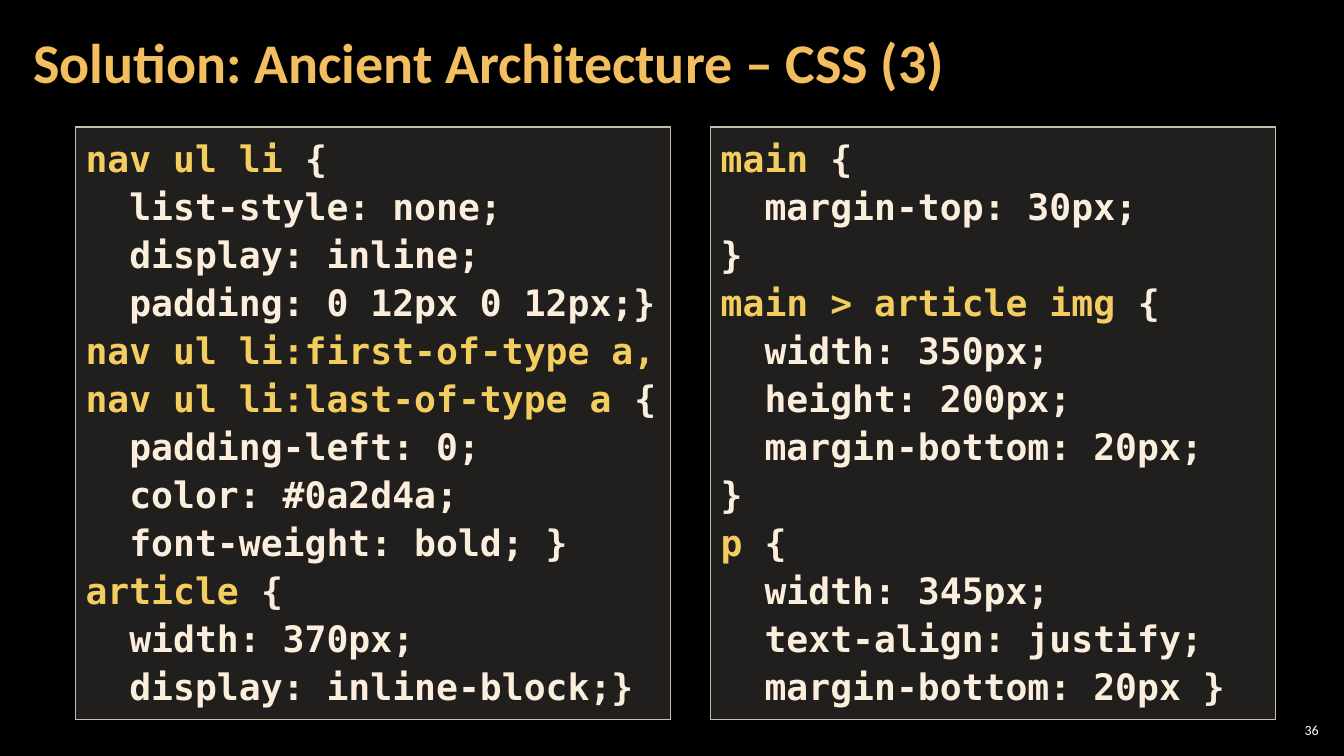
from dataclasses import dataclass

from lxml import etree
from pptx import Presentation
from pptx import util as u
from pptx.dml.color import RGBColor
from pptx.enum import shapes, text
from pptx.oxml import ns

COLUMN = u.Inches(0.05)
ROW = u.Inches(0.02)


@dataclass(frozen=True)
class Theme:
    background: str = "000000"
    title: str = "F3BE60"
    number: str = "FFFFFF"
    selector: str = "F3CD60"
    code: str = "FBEEDC"
    panel: str = "D9D5C7"
    border: str = "C7BFAC"
    panel_opacity: int = 15
    body_font: str = "Calibri"
    code_font: str = "DejaVu Sans Mono"
    title_size: int = 40
    code_size: int = 26
    number_size: int = 10


@dataclass(frozen=True)
class Area:
    column: float
    row: float
    columns: float
    rows: float

    def lengths(self) -> tuple[int, int, int, int]:
        return (int(self.column * COLUMN), int(self.row * ROW),
                int(self.columns * COLUMN), int(self.rows * ROW))


@dataclass(frozen=True)
class Label:
    area: Area
    words: str
    size: int
    color: str
    bold: bool
    side_inset: float
    align: text.PP_ALIGN
    spacing: float


@dataclass(frozen=True)
class CodePanel:
    area: Area
    code: str


THEME = Theme()

LABELS = [
    Label(Area(253, 357, 9.4, 10.5), "36", THEME.number_size, THEME.number,
          False, 0.04, text.PP_ALIGN.RIGHT, 1.0),
    Label(Area(4.2, 2, 209.4, 60.5), "Solution: Ancient Architecture – CSS (3)",
          THEME.title_size, THEME.title, True, 0.12, text.PP_ALIGN.LEFT, 0.9),
]

PANELS = [
    CodePanel(Area(15, 63, 118, 294), """\
nav ul li {
  list-style: none;
  display: inline;
  padding: 0 12px 0 12px;}
nav ul li:first-of-type a,
nav ul li:last-of-type a {
  padding-left: 0;
  color: #0a2d4a;
  font-weight: bold; }
article {
  width: 370px;
  display: inline-block;}"""),
    CodePanel(Area(141, 63, 112, 294), """\
main {
  margin-top: 30px;
}
main > article img {
  width: 350px;
  height: 200px;
  margin-bottom: 20px;
}
p {
  width: 345px;
  text-align: justify;
  margin-bottom: 20px }"""),
]


def style_span(span, font: str, size: int, color: str, bold: bool) -> None:
    span.font.name = font
    span.font.size = u.Pt(size)
    span.font.bold = bold
    span.font.color.rgb = RGBColor.from_string(color)


def draw_label(page, label: Label) -> None:
    box = page.shapes.add_textbox(*label.area.lengths())
    frame = box.text_frame
    frame.word_wrap = True
    frame.vertical_anchor = text.MSO_ANCHOR.MIDDLE
    frame.margin_left = frame.margin_right = u.Inches(label.side_inset)
    frame.margin_top = frame.margin_bottom = u.Inches(0.04)
    frame.text = label.words
    para = frame.paragraphs[0]
    para.alignment = label.align
    para.line_spacing = label.spacing
    style_span(para.runs[0], THEME.body_font, label.size, label.color, label.bold)


def write_code_line(para, line: str) -> None:
    para.alignment = text.PP_ALIGN.LEFT
    para.line_spacing = 1.1
    if line.startswith((" ", "}")):
        para.text = line
        colors = [THEME.code]
    else:
        selector, brace, _ = line.partition("{")
        para.text = selector
        if brace:
            para.add_run().text = brace
        colors = [THEME.selector, THEME.code]
    for span, color in zip(para.runs, colors):
        style_span(span, THEME.code_font, THEME.code_size, color, True)


def draw_panel(page, panel: CodePanel) -> None:
    box = page.shapes.add_shape(shapes.MSO_SHAPE.RECTANGLE, *panel.area.lengths())
    box.shadow.inherit = False
    box.fill.solid()
    box.fill.fore_color.rgb = RGBColor.from_string(THEME.panel)
    tint = box.fill._xPr.find(".//" + ns.qn("a:srgbClr"))
    alpha = etree.SubElement(tint, ns.qn("a:alpha"))
    alpha.set("val", str(THEME.panel_opacity * 1000))
    box.line.color.rgb = RGBColor.from_string(THEME.border)
    box.line.width = u.Pt(1)
    frame = box.text_frame
    frame.word_wrap = True
    frame.auto_size = text.MSO_AUTO_SIZE.SHAPE_TO_FIT_TEXT
    frame.vertical_anchor = text.MSO_ANCHOR.TOP
    frame.text = panel.code
    for para, line in zip(frame.paragraphs, panel.code.splitlines()):
        write_code_line(para, line)


def main() -> None:
    deck = Presentation()
    deck.slide_width = u.Inches(13.33)
    deck.slide_height = u.Inches(7.5)
    page = deck.slides.add_slide(deck.slide_layouts[6])
    page.background.fill.solid()
    page.background.fill.fore_color.rgb = RGBColor.from_string(THEME.background)
    for label in LABELS:
        draw_label(page, label)
    for panel in PANELS:
        draw_panel(page, panel)
    deck.save("out.pptx")


if __name__ == "__main__":
    main()
